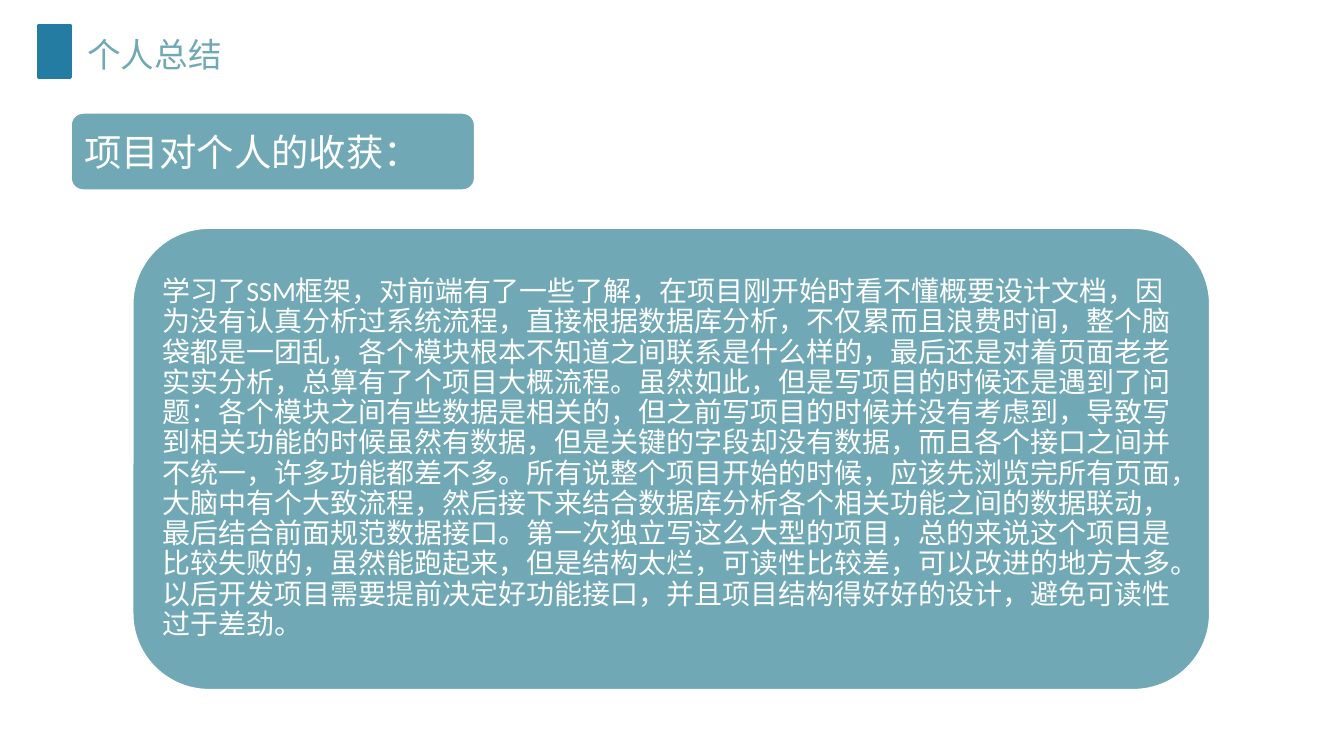
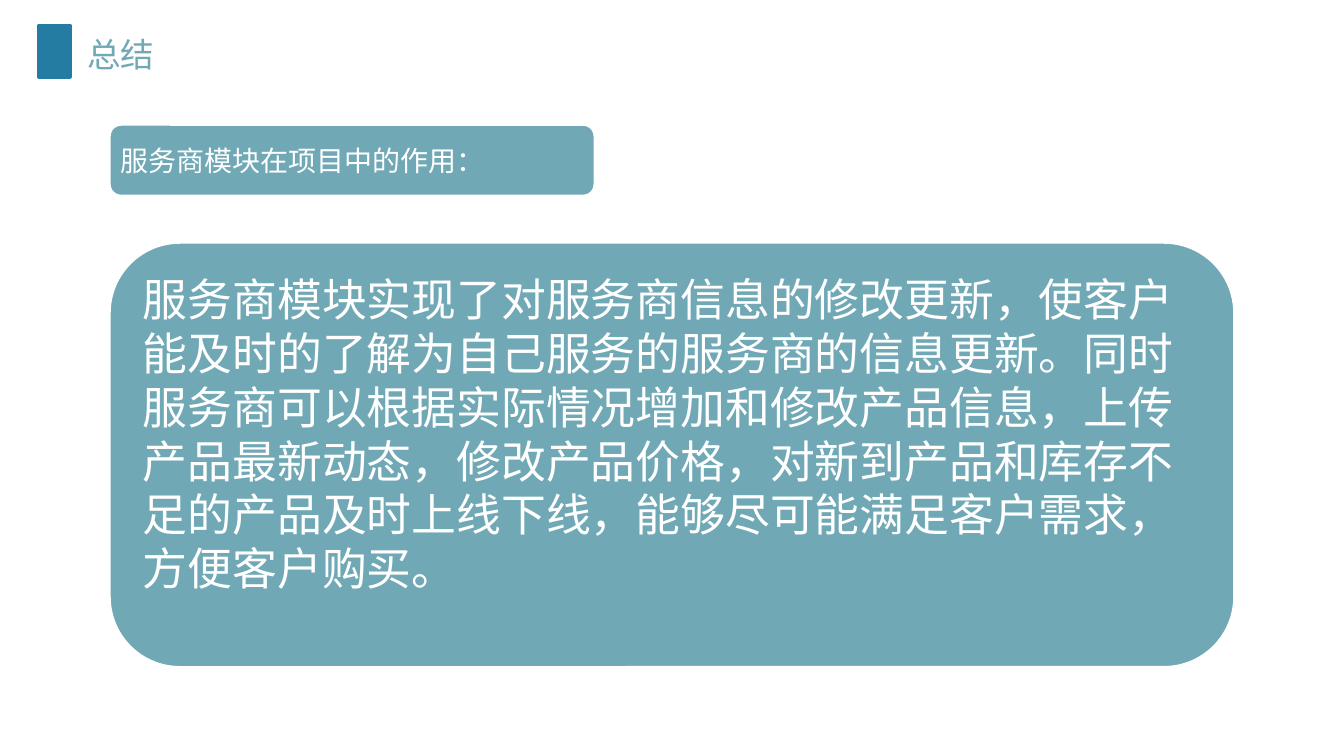
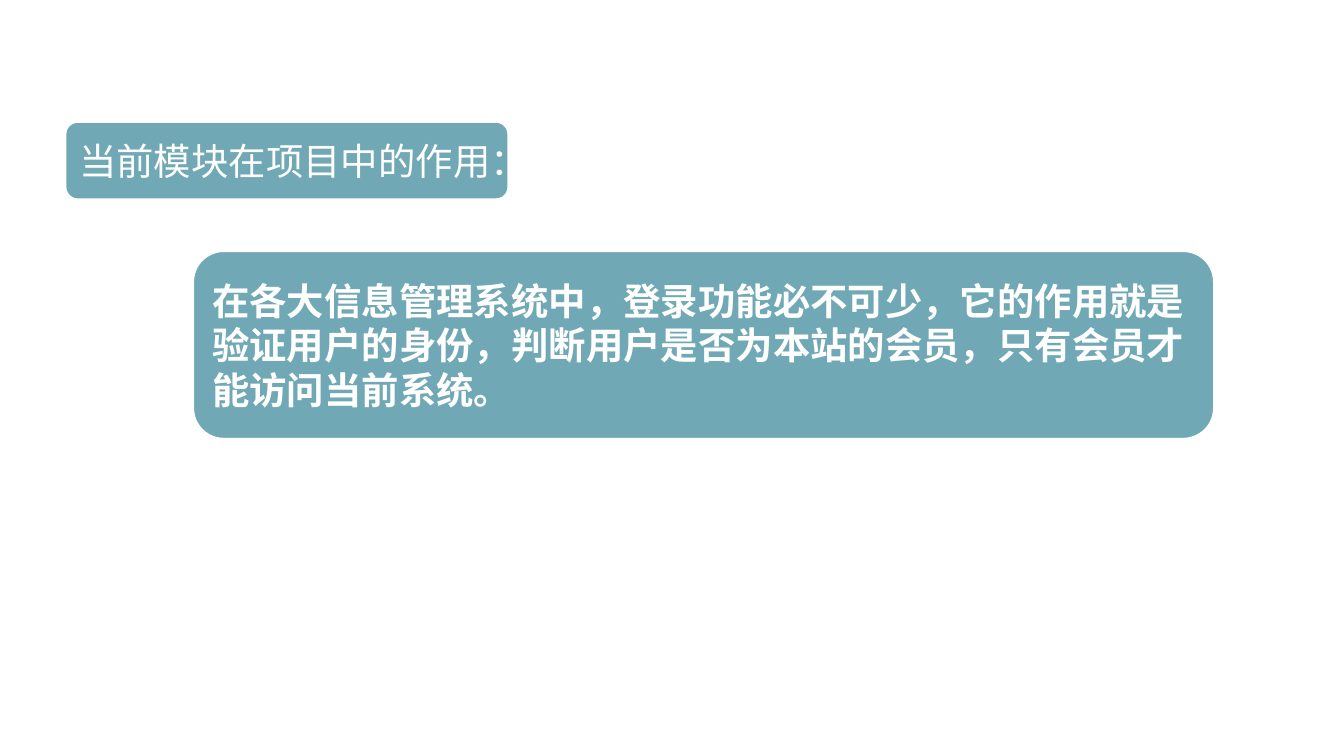
from dataclasses import dataclass

import pptx
import pptx.dml.color
import pptx.enum.lang
import pptx.enum.shapes
import pptx.enum.text
import pptx.util

TEAL = pptx.dml.color.RGBColor(0x70, 0xA9, 0xB5)
BLUE = pptx.dml.color.RGBColor(0x24, 0x7C, 0xA3)
WHITE = pptx.dml.color.RGBColor(0xFF, 0xFF, 0xFF)
SANS = "Noto Sans CJK SC"
BODY = "Calibri"

WIDE = pptx.util.Inches(10)
HIGH = WIDE * 9 // 16
COL = WIDE / 100
ROW = HIGH / 100
EDGE = pptx.util.Pt(2)
KIND = pptx.enum.shapes.MSO_SHAPE


@dataclass(frozen=True)
class Area:
    left: float
    top: float
    width: float
    height: float

    def place(self) -> tuple[int, int, int, int]:
        return (round(self.left * COL), round(self.top * ROW),
                round(self.width * COL), round(self.height * ROW))


@dataclass(frozen=True)
class Type:
    size: float
    face: str = BODY
    bold: bool = False
    color: pptx.dml.color.RGBColor = WHITE
    lead: float | None = None


@dataclass(frozen=True)
class Panel:
    area: Area
    text: str
    style: Type
    pad: float = 0.8
    foot: float = 0


@dataclass(frozen=True)
class Title:
    text: str
    width: float


@dataclass(frozen=True)
class Page:
    title: Title | None
    panels: tuple[Panel, ...]


MARK = Area(2.9, 3.38, 2.3, 6.8)
HEAD = Type(18, SANS, color=TEAL)

PAGES = (
    Page(Title("个人总结", 43.8), (
        Panel(Area(5.2, 14.8, 30.2, 10.5), "项目对个人的收获：", Type(20)),
        Panel(
            Area(9.8, 30.04, 80.3, 61.33),
            "学习了SSM框架，对前端有了一些了解，在项目刚开始时看不懂概要设计文档，"
            "因为没有认真分析过系统流程，直接根据数据库分析，不仅累而且浪费时间，"
            "整个脑袋都是一团乱，各个模块根本不知道之间联系是什么样的，"
            "最后还是对着页面老老实实分析，总算有了个项目大概流程。"
            "虽然如此，但是写项目的时候还是遇到了问题：各个模块之间有些数据是相关的，"
            "但之前写项目的时候并没有考虑到，导致写到相关功能的时候虽然有数据，"
            "但是关键的字段却没有数据，而且各个接口之间并不统一，许多功能都差不多。"
            "所有说整个项目开始的时候，应该先浏览完所有页面，大脑中有个大致流程，"
            "然后接下来结合数据库分析各个相关功能之间的数据联动，"
            "最后结合前面规范数据接口。第一次独立写这么大型的项目，"
            "总的来说这个项目是比较失败的，虽然能跑起来，但是结构太烂，"
            "可读性比较差，可以改进的地方太多。以后开发项目需要提前决定好功能接口，"
            "并且项目结构得好好的设计，避免可读性过于差劲。",
            Type(15, lead=0.9), pad=0.6),
    )),
    Page(Title("总结", 11.2), (
        Panel(
            Area(8.1, 32, 83.8, 56.36),
            "服务商模块实现了对服务商信息的修改更新，"
            "使客户能及时的了解为自己服务的服务商的信息更新。"
            "同时服务商可以根据实际情况增加和修改产品信息，上传产品最新动态，"
            "修改产品价格，对新到产品和库存不足的产品及时上线下线，"
            "能够尽可能满足客户需求，方便客户购买。",
            Type(24), pad=1, foot=3.2),
        Panel(Area(8.1, 16.4, 36.2, 9.6), "服务商模块在项目中的作用：",
              Type(15, SANS), pad=0.6),
    )),
    Page(None, (
        Panel(Area(4.8, 16, 33.1, 10.5), "当前模块在项目中的作用：", Type(20)),
        Panel(
            Area(14.3, 33.1, 76.1, 25.07),
            "在各大信息管理系统中，登录功能必不可少，"
            "它的作用就是验证用户的身份，判断用户是否为本站的会员，"
            "只有会员才能访问当前系统。",
            Type(20, bold=True)),
    )),
)


def write(shape, text: str, style: Type, side: float, top: float, foot: float) -> None:
    frame = shape.text_frame
    frame.word_wrap = True
    frame.vertical_anchor = pptx.enum.text.MSO_ANCHOR.MIDDLE
    frame.margin_left = frame.margin_right = round(side * COL)
    frame.margin_top = round(top * COL)
    frame.margin_bottom = round(foot * COL)
    para = frame.paragraphs[0]
    para.text = text
    para.alignment = pptx.enum.text.PP_ALIGN.LEFT
    if style.lead:
        para.line_spacing = style.lead
    font = para.font
    font.name = style.face
    font.size = pptx.util.Pt(style.size)
    font.bold = style.bold
    font.color.rgb = style.color
    font.language_id = pptx.enum.lang.MSO_LANGUAGE_ID.SIMPLIFIED_CHINESE


def block(slide, kind: KIND, area: Area, fill, line):
    shape = slide.shapes.add_shape(kind, *area.place())
    shape.shadow.inherit = False
    shape.fill.solid()
    shape.fill.fore_color.rgb = fill
    shape.line.color.rgb = line
    shape.line.width = EDGE
    return shape


def header(slide, title: Title) -> None:
    area = Area(6.5, MARK.top, title.width, 7.47)
    write(slide.shapes.add_textbox(*area.place()), title.text, HEAD, 0, 0.5, 0.5)
    block(slide, KIND.RECTANGLE, MARK, BLUE, BLUE)


def main() -> None:
    deck = pptx.Presentation()
    deck.slide_width, deck.slide_height = WIDE, HIGH
    for page in PAGES:
        slide = deck.slides.add_slide(deck.slide_layouts[6])
        if page.title:
            header(slide, page.title)
        for panel in page.panels:
            shape = block(slide, KIND.ROUNDED_RECTANGLE, panel.area, TEAL, WHITE)
            write(shape, panel.text, panel.style,
                  panel.pad, panel.pad, panel.pad + panel.foot)
    deck.save("out.pptx")


if __name__ == "__main__":
    main()
